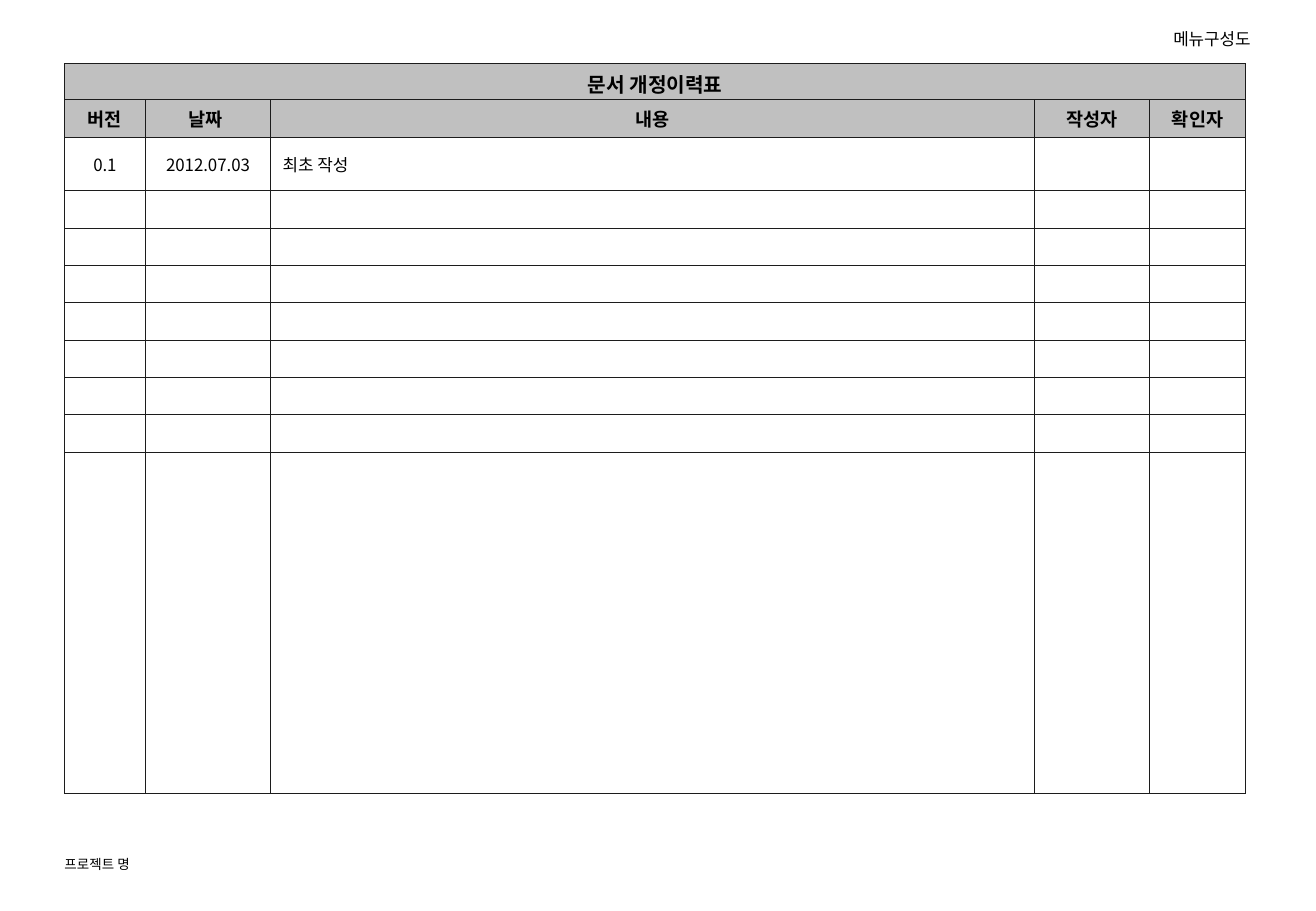
from lxml import etree
from pptx import Presentation
from pptx.dml.color import RGBColor
from pptx.enum import text
from pptx.oxml import ns
from pptx.util import Cm, Pt

FONT = "Noto Sans CJK KR"
BLACK = RGBColor(0x00, 0x00, 0x00)
GRAY = RGBColor(0xC0, 0xC0, 0xC0)
LINE = "1C1C1C"
LEFT, CENTER, RIGHT = text.PP_ALIGN.LEFT, text.PP_ALIGN.CENTER, text.PP_ALIGN.RIGHT

PAGE_TITLE = "메뉴구성도"
PROJECT = "프로젝트 명"
TABLE_TITLE = "문서 개정이력표"
HEADINGS = ["버전", "날짜 ", "내용", "작성자", "확인자"]
REVISIONS = [["0.1", "2012.07.03", "최초 작성", "", ""]]
EMPTY_ROWS = 8

COLUMN_WIDTHS = [1.69, 2.62, 15.98, 2.41, 2.01]
ROW_HEIGHTS = [0.75, 0.8, 1.11] + [0.78] * (EMPTY_ROWS - 1) + [7.14]
TABLE_LEFT, TABLE_TOP = 1.35, 1.33


def write(paragraph, words, size, bold=False, align=LEFT):
    paragraph.alignment = align
    if not words:
        paragraph._p.get_or_add_endParaRPr().set("sz", str(size * 100))
        return
    paragraph.text = words
    font = paragraph.font
    font.size, font.bold, font.name = Pt(size), bold, FONT
    font.color.rgb = BLACK
    etree.SubElement(font._element, ns.qn("a:ea"), typeface=FONT)


def place_text(shape, left, top, width, height, words, size, align):
    shape.left, shape.top, shape.width, shape.height = map(Cm, (left, top, width, height))
    frame = shape.text_frame
    frame.margin_left = frame.margin_right = frame.margin_top = frame.margin_bottom = 0
    frame.word_wrap = True
    frame.auto_size = text.MSO_AUTO_SIZE.NONE
    frame.vertical_anchor = text.MSO_ANCHOR.TOP
    write(frame.paragraphs[0], words, size, align=align)


def add_borders(cell):
    properties = cell._tc.get_or_add_tcPr()
    for position, side in enumerate(("lnL", "lnR", "lnT", "lnB")):
        line = etree.Element(ns.qn(f"a:{side}"), w=str(Pt(0.45)))
        fill = etree.SubElement(line, ns.qn("a:solidFill"))
        etree.SubElement(fill, ns.qn("a:srgbClr"), val=LINE)
        properties.insert(position, line)


def format_cell(cell, row, column, words):
    is_heading = row < 2
    if is_heading:
        cell.fill.solid()
        cell.fill.fore_color.rgb = GRAY
        cell.margin_top, cell.margin_bottom = Cm(0.11), 0
        cell.vertical_anchor = text.MSO_ANCHOR.TOP
    else:
        cell.fill.background()
        cell.vertical_anchor = text.MSO_ANCHOR.MIDDLE
    add_borders(cell)
    size = {0: 12, 1: 11}.get(row, 10)
    align = LEFT if column == 2 and not is_heading else CENTER
    write(cell.text_frame.paragraphs[0], words, size, is_heading, align)


def add_history_table(slide):
    blank = [""] * len(HEADINGS)
    rows = [[TABLE_TITLE] + blank[1:], HEADINGS] + REVISIONS + [blank] * EMPTY_ROWS
    table = slide.shapes.add_table(
        len(rows), len(HEADINGS), Cm(TABLE_LEFT), Cm(TABLE_TOP),
        Cm(sum(COLUMN_WIDTHS)), Cm(sum(ROW_HEIGHTS))).table
    table.first_row = table.horz_banding = False
    for column, width in zip(table.columns, COLUMN_WIDTHS):
        column.width = Cm(width)
    for row, height in zip(table.rows, ROW_HEIGHTS):
        row.height = Cm(height)
    for row, values in enumerate(rows):
        for column, words in enumerate(values):
            format_cell(table.cell(row, column), row, column, words)
    table.cell(0, 0).merge(table.cell(0, len(HEADINGS) - 1))


def main():
    presentation = Presentation()
    presentation.slide_width, presentation.slide_height = Cm(27.53), Cm(19.05)
    slide = presentation.slides.add_slide(presentation.slide_layouts[5])
    add_history_table(slide)
    project = slide.shapes.add_textbox(0, 0, 0, 0)
    place_text(project, TABLE_LEFT, 17.9, 9.02, 0.4, PROJECT, 8, LEFT)
    place_text(slide.shapes.title, 18.06, 0.6, 8.1, 0.5, PAGE_TITLE, 10, RIGHT)
    presentation.save("out.pptx")


if __name__ == "__main__":
    main()
